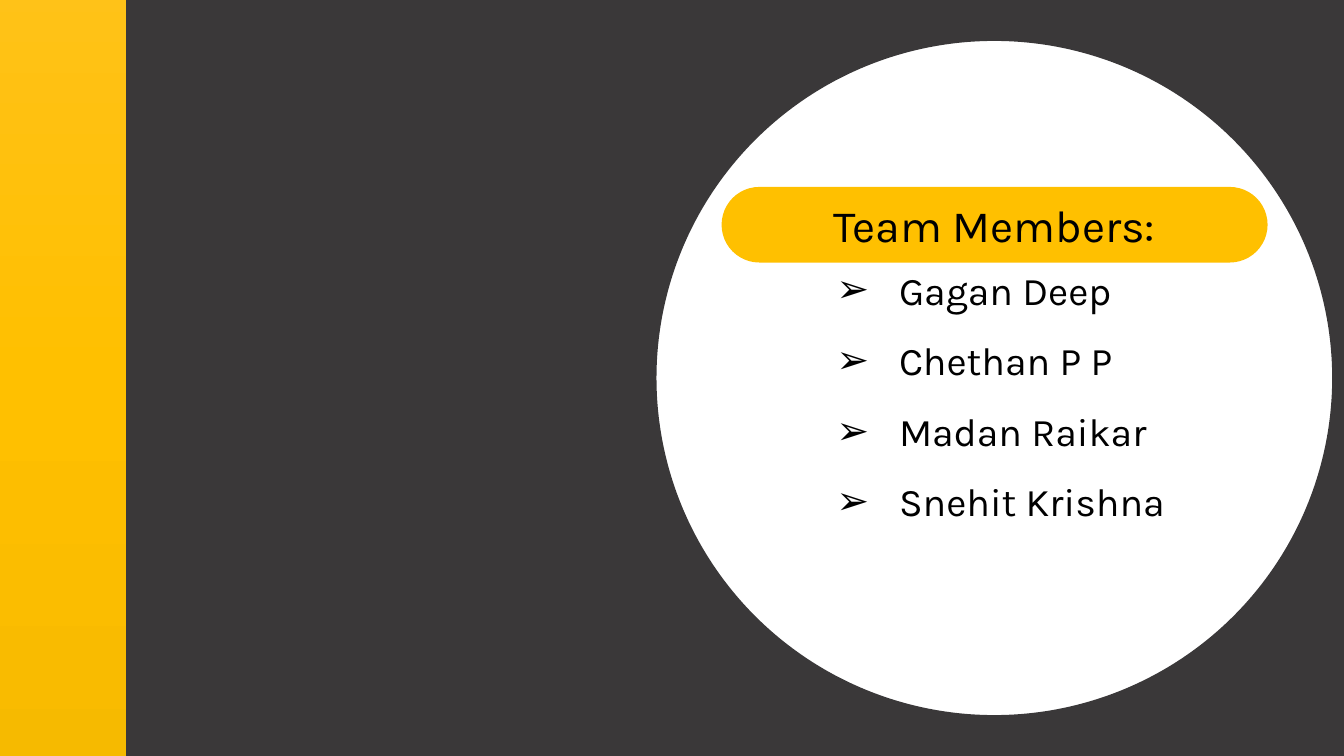
from copy import deepcopy
from dataclasses import dataclass

from lxml import etree
from pptx import Presentation
from pptx import util as u
from pptx.dml.color import RGBColor
from pptx.enum import shapes, text
from pptx.oxml import ns


@dataclass(frozen=True)
class Theme:
    font: str = "Karla"
    mark: str = "Arial"
    dark: str = "3A3839"
    gold: str = "FFC000"
    white: str = "FFFFFF"
    ink: str = "000000"
    fade: tuple = ("FFC64B", "FFC000", "E3AB00")
    head: int = 32
    body: int = 28


class Deck:
    cols, rows = 160, 90

    def __init__(self, theme):
        self.theme = theme
        self.prs = Presentation()
        self.prs.slide_width = u.Inches(13.33)
        self.prs.slide_height = u.Inches(7.5)
        self.slide = self.prs.slides.add_slide(self.prs.slide_layouts[6])

    def place(self, x, y, w, h):
        dx = self.prs.slide_width / self.cols
        dy = self.prs.slide_height / self.rows
        return [round(n) for n in (x * dx, y * dy, w * dx, h * dy)]

    def paint(self, fill, color):
        fill.solid()
        fill.fore_color.rgb = RGBColor.from_string(color)

    def back(self, color):
        self.paint(self.slide.background.fill, color)

    def shape(self, kind, box, color, adjust):
        item = self.slide.shapes.add_shape(kind, *self.place(*box))
        item.shadow.inherit = False
        item.line.fill.background()
        item.adjustments[0] = adjust
        self.paint(item.fill, color)
        return item

    def ring(self, box, color, adjust):
        self.shape(shapes.MSO_SHAPE.DONUT, box, color, adjust)

    def border(self, box, colors, adjust):
        fill = self.shape(shapes.MSO_SHAPE.FRAME, box, colors[0], adjust).fill
        fill.gradient()
        fill.gradient_angle = 270
        last = fill.gradient_stops[1]._gs
        last.addprevious(deepcopy(last))
        for i, (stop, color) in enumerate(zip(fill.gradient_stops, colors)):
            stop.position = i / (len(colors) - 1)
            stop.color.rgb = RGBColor.from_string(color)

    def style(self, para, size):
        para.font.name = self.theme.font
        para.font.size = u.Pt(size)
        para.font.color.rgb = RGBColor.from_string(self.theme.ink)

    def pill(self, box, words):
        kind = shapes.MSO_SHAPE.ROUNDED_RECTANGLE
        frame = self.shape(kind, box, self.theme.gold, 0.5).text_frame
        frame.vertical_anchor = text.MSO_ANCHOR.MIDDLE
        para = frame.paragraphs[0]
        para.text = words
        para.alignment = text.PP_ALIGN.CENTER
        self.style(para, self.theme.head)

    def bullets(self, box, names, mark="➢", indent=0.62):
        frame = self.slide.shapes.add_textbox(*self.place(*box)).text_frame
        frame.word_wrap = True
        for i, name in enumerate(names):
            para = frame.add_paragraph() if i else frame.paragraphs[0]
            para.text = name
            para.line_spacing = 1.5
            props = para._p.get_or_add_pPr()
            props.set("marL", str(u.Inches(indent)))
            props.set("indent", str(-u.Inches(indent)))
            face = etree.SubElement(props, ns.qn("a:buFont"))
            face.set("typeface", self.theme.mark)
            etree.SubElement(props, ns.qn("a:buChar")).set("char", mark)
            self.style(para, self.theme.body)


def main():
    theme = Theme()
    deck = Deck(theme)
    deck.back(theme.white)
    deck.ring((-57.75, -131, 352.25, 352), theme.dark, 0.386)
    deck.border((-40.5, -93, 401, 276), theme.fade, 0.201)
    deck.bullets(
        (98.4, 28.25, 48, 38),
        ["Gagan Deep", "Chethan P P", "Madan Raikar", "Snehit Krishna"],
    )
    deck.pill((85.9, 22.25, 65, 9), "Team Members:")
    deck.prs.save("out.pptx")


if __name__ == "__main__":
    main()
